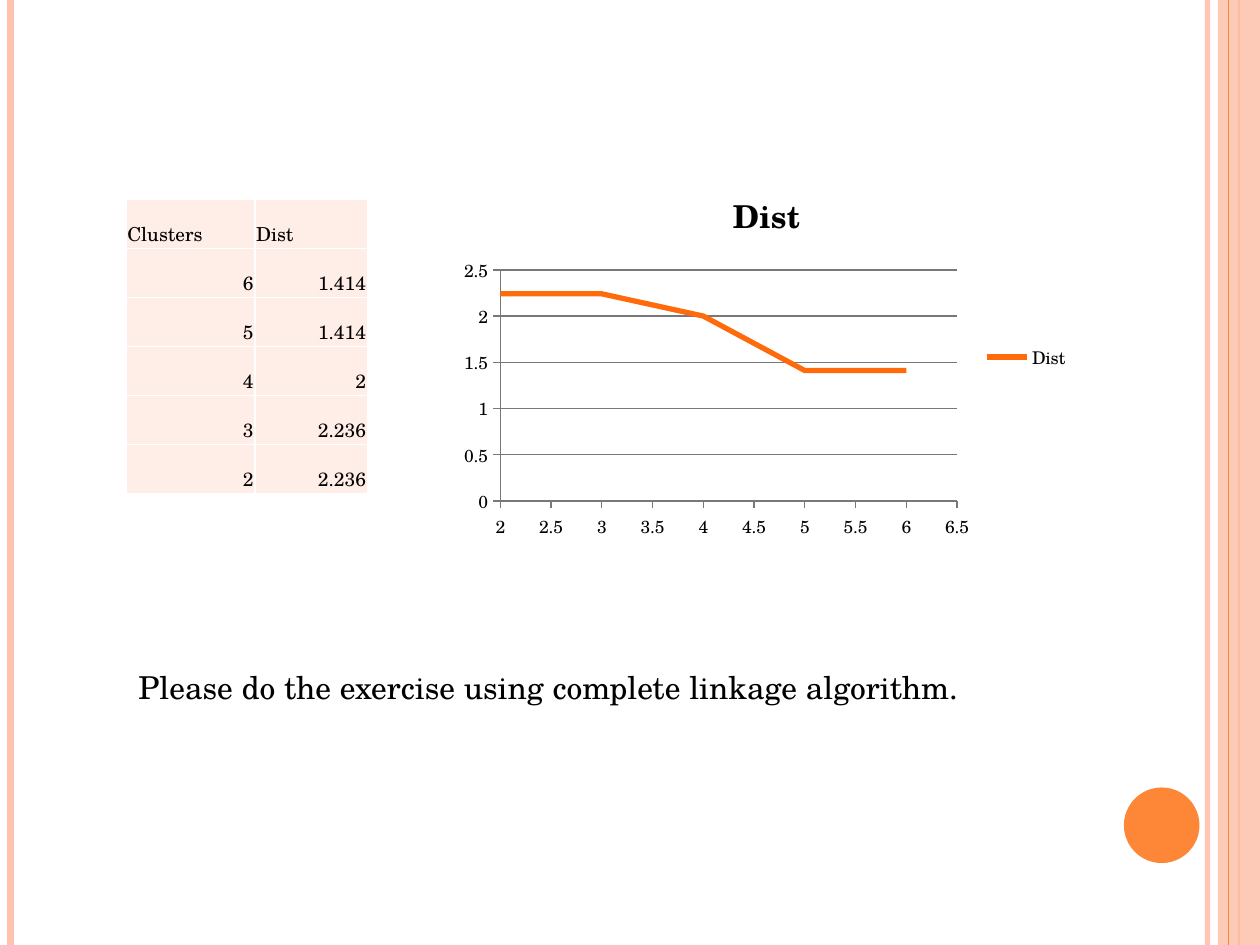
from lxml.etree import SubElement
from pptx import Presentation
from pptx.chart.data import XyChartData
from pptx.dml.color import RGBColor
from pptx.enum.chart import XL_CHART_TYPE, XL_LEGEND_POSITION, XL_TICK_MARK
from pptx.enum.shapes import MSO_CONNECTOR, MSO_SHAPE
from pptx.enum.text import MSO_ANCHOR, PP_ALIGN
from pptx.oxml import parse_xml
from pptx.oxml.ns import nsdecls, qn
from pptx.util import Pt

COLORS = {
    "text": "000000",
    "border": "FFFFFF",
    "cell": "FFEDE8",
    "pale": "FEC3AE",
    "accent": "FE8637",
    "series": "FF6A0A",
    "axis": "787878",
}
FONT = "TeX Gyre Schola"
HEADERS = ("Clusters", "Dist")
DISTANCES = ((6, 1.414), (5, 1.414), (4, 2), (3, 2.236), (2, 2.236))


def color(name):
    return RGBColor.from_string(COLORS[name])


def style_font(font, size, bold=False):
    font.name = FONT
    font.size = Pt(size)
    font.bold = bold
    font.color.rgb = color("text")


def write_text(frame, text, size=11, bold=False, align=PP_ALIGN.LEFT):
    paragraph = frame.paragraphs[0]
    paragraph.alignment = align
    run = paragraph.add_run()
    run.text = text
    style_font(run.font, size, bold)


def style_line(line, name, width):
    line.color.rgb = color(name)
    line.width = Pt(width)


def set_opacity(shape, percent):
    for element in shape._element.iter(qn("a:srgbClr")):
        SubElement(element, qn("a:alpha")).set("val", str(percent * 1000))


class SlideBuilder:
    """Adds styled elements to one slide."""

    def __init__(self, presentation):
        self.height = 540
        presentation.slide_width = Pt(720)
        presentation.slide_height = Pt(self.height)
        self.slide = presentation.slides.add_slide(presentation.slide_layouts[6])
        self.shapes = self.slide.shapes

    def stripe(self, x, name, width, opacity=100):
        connector = self.shapes.add_connector(
            MSO_CONNECTOR.STRAIGHT, Pt(x), Pt(0), Pt(x), Pt(self.height))
        style_line(connector.line, name, width)
        SubElement(connector._element.spPr, qn("a:effectLst"))
        if opacity < 100:
            set_opacity(connector, opacity)

    def shape(self, kind, box, name, opacity=100):
        shape = self.shapes.add_shape(kind, *map(Pt, box))
        shape.shadow.inherit = False
        shape.fill.solid()
        shape.fill.fore_color.rgb = color(name)
        shape.line.fill.background()
        if opacity < 100:
            set_opacity(shape, opacity)

    def text(self, box, text, size):
        frame = self.shapes.add_textbox(*map(Pt, box)).text_frame
        frame.word_wrap = True
        write_text(frame, text, size=size)

    def cell(self, cell, text, align):
        cell.margin_left = cell.margin_right = cell.margin_top = Pt(0.75)
        cell.margin_bottom = Pt(0)
        cell.vertical_anchor = MSO_ANCHOR.BOTTOM
        cell.fill.solid()
        cell.fill.fore_color.rgb = color("cell")
        write_text(cell.text_frame, text, align=align)
        properties = cell._tc.get_or_add_tcPr()
        for index, side in enumerate(("lnL", "lnR", "lnT", "lnB")):
            properties.insert(index, parse_xml(
                f'<a:{side} {nsdecls("a")} w="{Pt(1)}"><a:solidFill>'
                f'<a:srgbClr val="{COLORS["border"]}"/></a:solidFill></a:{side}>'))

    def table(self, left, top, widths, row_height, rows):
        table = self.shapes.add_table(
            len(rows), len(widths), Pt(left), Pt(top),
            Pt(sum(widths)), Pt(row_height * len(rows))).table
        table.first_row = table.horz_banding = False
        for column, width in zip(table.columns, widths):
            column.width = Pt(width)
        for row, values in zip(table.rows, rows):
            row.height = Pt(row_height)
            for cell, value in zip(row.cells, values):
                align = PP_ALIGN.LEFT if isinstance(value, str) else PP_ALIGN.RIGHT
                self.cell(cell, str(value), align)

    def axis(self, axis, minimum, maximum, gridlines):
        axis.minimum_scale = minimum
        axis.maximum_scale = maximum
        axis.major_unit = 0.5
        axis.major_tick_mark = XL_TICK_MARK.OUTSIDE
        axis.minor_tick_mark = XL_TICK_MARK.NONE
        axis.has_major_gridlines = gridlines
        axis.tick_labels.number_format = "General"
        axis.tick_labels.number_format_is_linked = False
        style_line(axis.format.line, "axis", 0.8)
        if gridlines:
            style_line(axis.major_gridlines.format.line, "axis", 0.8)

    def chart(self, box, name, points):
        data = XyChartData()
        series_data = data.add_series(name)
        for x, y in points:
            series_data.add_data_point(x, round(y, 2))
        chart = self.shapes.add_chart(
            XL_CHART_TYPE.XY_SCATTER_LINES_NO_MARKERS, *map(Pt, box), data).chart
        style_font(chart.font, 10)
        chart.has_title = True
        write_text(chart.chart_title.text_frame, name, size=18, bold=True,
                   align=PP_ALIGN.CENTER)
        chart.chart_title.include_in_layout = False
        chart.has_legend = True
        chart.legend.position = XL_LEGEND_POSITION.RIGHT
        chart.legend.include_in_layout = False
        chart.plots[0].vary_by_categories = False
        series = chart.plots[0].series[0]
        series.smooth = False
        style_line(series.format.line, "series", 3)
        self.axis(chart.category_axis, 2, 6.5, False)
        self.axis(chart.value_axis, 0, 2.5, True)


def main():
    presentation = Presentation()
    builder = SlideBuilder(presentation)
    builder.stripe(690, "pale", 3, opacity=93)
    builder.stripe(6, "pale", 4.5)
    builder.stripe(708, "accent", 1.5)
    builder.shape(MSO_SHAPE.RECTANGLE, (696, 0, 24, 540), "pale", opacity=87)
    builder.stripe(702, "accent", 0.75)
    builder.shape(MSO_SHAPE.OVAL, (642.24, 450, 43.2, 43.2), "accent")
    builder.chart((258, 96, 360, 216), HEADERS[1], DISTANCES)
    builder.table(72, 114, (73.6, 64.4), 28, (HEADERS, *DISTANCES))
    builder.text((72, 378, 522, 29),
                 "Please do the exercise using complete linkage algorithm.", 18)
    presentation.save("out.pptx")


if __name__ == "__main__":
    main()
